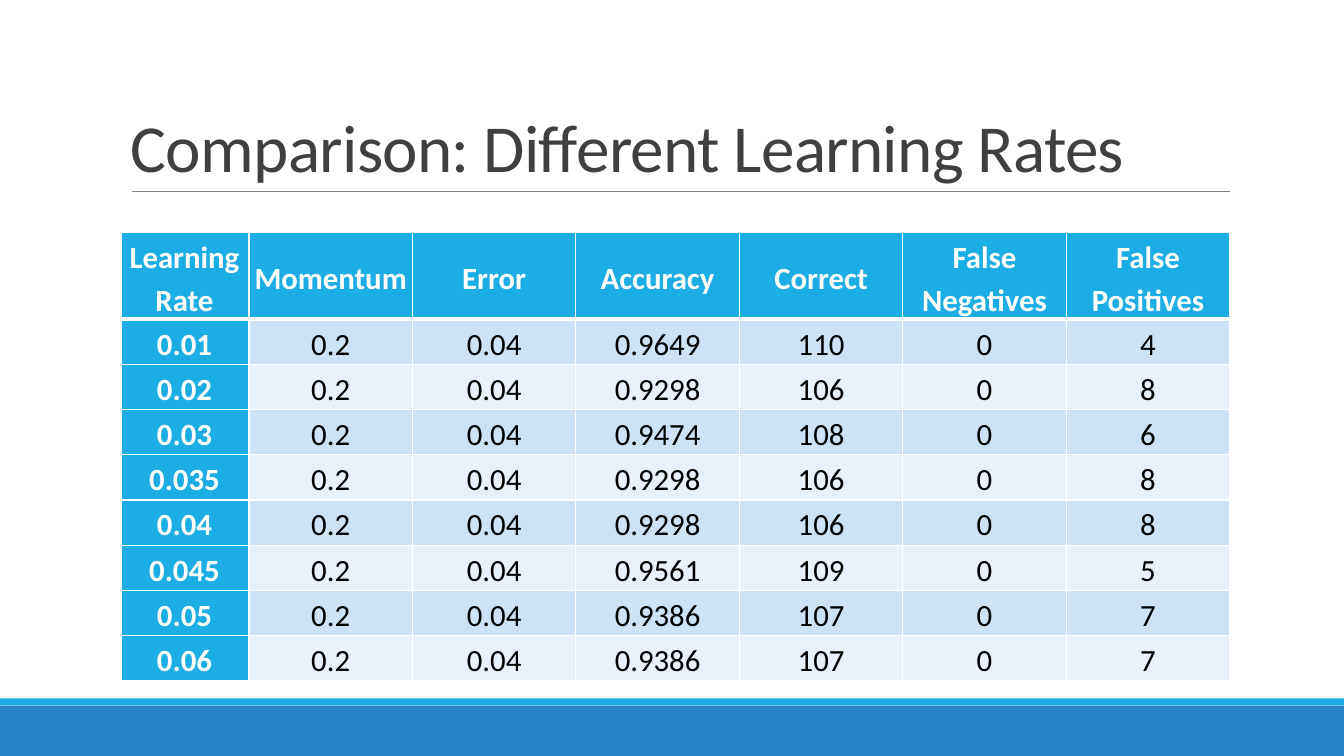
from dataclasses import dataclass

from pptx import Presentation
from pptx import util as u
from pptx.dml import color
from pptx.enum import shapes, text
from pptx.oxml import ns, xmlchemy

Pt = u.Pt


@dataclass(frozen=True)
class Theme:
    font: str = "Calibri"
    title_size: float = 48
    table_size: float = 22
    title: str = "404040"
    rule: str = "808080"
    footer: str = "2683C6"
    accent: str = "1CADE4"
    light: str = "FFFFFF"
    dark: str = "000000"
    bands: tuple = ("CDE3F5", "E8F1FA")


@dataclass(frozen=True)
class Box:
    left: float
    top: float
    width: float
    height: float

    def lengths(self):
        return [Pt(side) for side in (self.left, self.top, self.width, self.height)]


THEME = Theme()
PAGE = Box(0, 0, 960, 540)
TITLE = Box(86.4, 22.32, 792, 114.48)
TABLE = Box(86.4, 165.9, 792, 320.5)
FIRST_COLUMN = 91.44
HEADER_ROW = 62.1

HEADINGS = ["Learning Rate", "Momentum", "Error", "Accuracy", "Correct",
            "False Negatives", "False Positives"]
RESULTS = [
    ("0.01", "0.9649", "110", "4"),
    ("0.02", "0.9298", "106", "8"),
    ("0.03", "0.9474", "108", "6"),
    ("0.035", "0.9298", "106", "8"),
    ("0.04", "0.9298", "106", "8"),
    ("0.045", "0.9561", "109", "5"),
    ("0.05", "0.9386", "107", "7"),
    ("0.06", "0.9386", "107", "7"),
]


def rgb(value):
    return color.RGBColor.from_string(value)


def apply(target, values):
    for name, value in values.items():
        setattr(target, name, value)


def write(para, words, para_format, size, tint, bold=False):
    apply(para, para_format)
    span = para.add_run()
    span.text = words
    apply(span.font, {"name": THEME.font, "size": Pt(size), "bold": bold})
    span.font.color.rgb = rgb(tint)
    return span


def add_bar(page, box, tint):
    bar = page.shapes.add_shape(shapes.MSO_SHAPE.RECTANGLE, *box.lengths())
    bar.shadow.inherit = False
    bar.fill.solid()
    bar.fill.fore_color.rgb = rgb(tint)
    bar.line.fill.background()


def add_footer(page, box):
    bottom = box.top + box.height
    add_bar(page, Box(box.left, bottom - 36, box.width, 36), THEME.footer)
    add_bar(page, Box(box.left, bottom - 41.2, box.width, 5.04), THEME.accent)


def add_title(page, box, words):
    bottom = box.top + box.height
    rule = page.shapes.add_connector(
        shapes.MSO_CONNECTOR.STRAIGHT, Pt(box.left + 7.9), Pt(bottom),
        Pt(box.left + box.width), Pt(bottom))
    rule.line.color.rgb = rgb(THEME.rule)
    rule.line.width = Pt(0.5)
    rule.element.spPr.append(xmlchemy.OxmlElement("a:effectLst"))
    frame = page.shapes.add_textbox(*box.lengths()).text_frame
    apply(frame, {"word_wrap": True, "vertical_anchor": text.MSO_ANCHOR.BOTTOM})
    span = write(frame.paragraphs[0], words, {"line_spacing": 0.85},
                 THEME.title_size, THEME.title)
    span._r.get_or_add_rPr().set("spc", "-50")


def add_borders(cell, widths):
    properties = cell._tc.get_or_add_tcPr()
    for side in "LRTB":
        border = xmlchemy.OxmlElement(f"a:ln{side}")
        border.set("w", str(Pt(widths.get(side, 1))))
        fill = xmlchemy.OxmlElement("a:solidFill")
        tint = xmlchemy.OxmlElement("a:srgbClr")
        tint.set("val", THEME.light)
        fill.append(tint)
        border.append(fill)
        properties.append(border)


def format_cell(cell, words, row, column):
    heading = row == 0 or column == 0
    apply(cell, {
        "margin_left": Pt(0.72 if column else 0),
        "margin_right": Pt(0.72),
        "margin_top": Pt(0.72),
        "margin_bottom": Pt(0.72),
        "vertical_anchor": text.MSO_ANCHOR.MIDDLE,
    })
    add_borders(cell, {0: {"B": 3}, 1: {"T": 3}}.get(row, {}))
    cell.fill.solid()
    cell.fill.fore_color.rgb = rgb(THEME.accent if heading else THEME.bands[(row - 1) % 2])
    para_format = {"alignment": text.PP_ALIGN.CENTER, "line_spacing": 1.15,
                   "space_after": Pt(8)}
    write(cell.text_frame.paragraphs[0], words, para_format, THEME.table_size,
          THEME.light if heading else THEME.dark, heading)


def add_results(page, box):
    rows = [HEADINGS] + [
        [rate, "0.2", "0.04", accuracy, correct, "0", positives]
        for rate, accuracy, correct, positives in RESULTS
    ]
    table = page.shapes.add_table(len(rows), len(HEADINGS), *box.lengths()).table
    table.first_col = True
    column_width = (box.width - FIRST_COLUMN) / (len(HEADINGS) - 1)
    row_height = (box.height - HEADER_ROW) / len(RESULTS)
    for index, column in enumerate(table.columns):
        column.width = Pt(column_width if index else FIRST_COLUMN)
    for index, row in enumerate(table.rows):
        row.height = Pt(row_height if index else HEADER_ROW)
    for row, values in enumerate(rows):
        for column, words in enumerate(values):
            format_cell(table.cell(row, column), words, row, column)


def main():
    deck = Presentation()
    apply(deck, {"slide_width": Pt(PAGE.width), "slide_height": Pt(PAGE.height)})
    page = deck.slides.add_slide(deck.slide_layouts[6])
    add_footer(page, PAGE)
    add_title(page, TITLE, "Comparison: Different Learning Rates")
    add_results(page, TABLE)
    deck.save("out.pptx")


if __name__ == "__main__":
    main()
